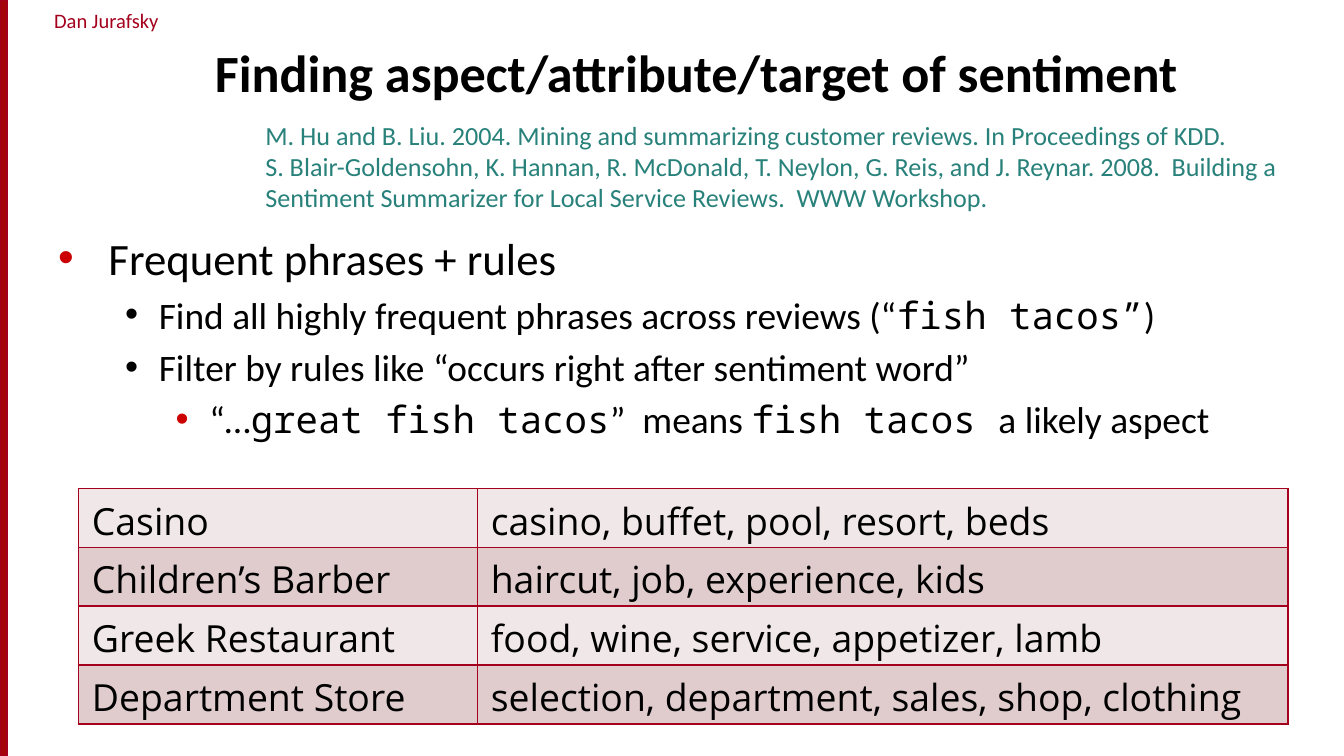
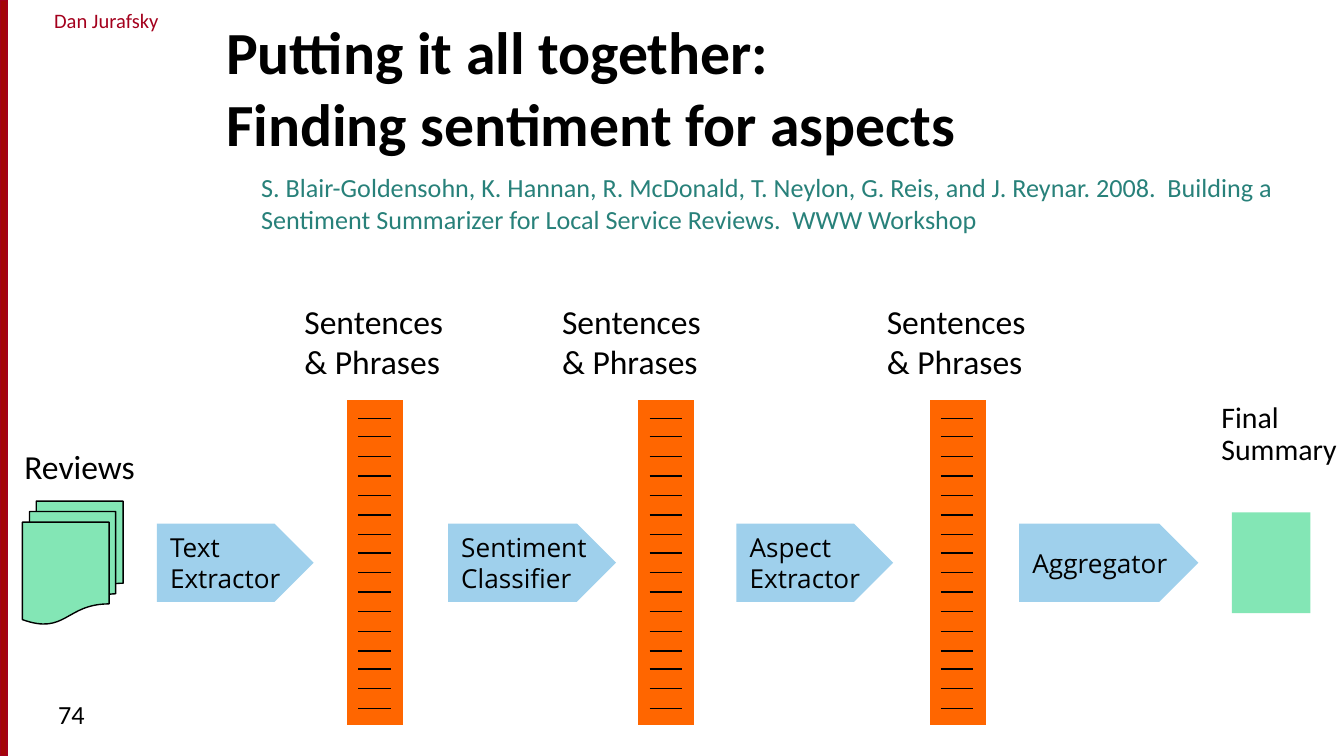
"""Build two slides on finding aspects of sentiment and summarising reviews."""
from lxml.etree import SubElement
from pptx import Presentation
from pptx.dml.color import RGBColor
from pptx.enum.shapes import MSO_CONNECTOR, MSO_SHAPE as SHAPE
from pptx.enum.text import MSO_ANCHOR as ANCHOR, MSO_AUTO_SIZE as AUTO_SIZE, PP_ALIGN as ALIGN
from pptx.oxml.ns import qn
from pptx.util import Pt

PX = 9525
COLORS = {
    "black": "000000", "white": "FFFFFF", "band": "A40508", "crimson": "A4001D",
    "teal": "28817A", "bullet": "CC0000", "row_light": "F0E7E8", "row_dark": "E0CCCD",
    "green": "83E6B5", "orange": "FF6600", "blue": "9FD0EC",
}
RGB = {name: RGBColor.from_string(value) for name, value in COLORS.items()}
BODY_FONT, MONO_FONT, SANS_FONT = "Calibri", "Noto Sans Mono", "Open Sans"


def place(shapes, kind, left, top, width, height, fill=None, line=None):
    """Add a preset shape, or a text box when kind is None."""
    box = [value * PX for value in (left, top, width, height)]
    if kind is None:
        return shapes.add_textbox(*box)
    shape = shapes.add_shape(kind, *box)
    shape.shadow.inherit = False
    shape.fill.solid()
    shape.fill.fore_color.rgb = RGB[fill]
    if line:
        shape.line.color.rgb = RGB[line]
        shape.line.width = Pt(0.75)
    else:
        shape.line.fill.background()
    return shape


def write(frame, text, size=14, font=BODY_FONT, color="black", bold=False,
          align=ALIGN.LEFT, anchor=ANCHOR.TOP, wrap=True, grow=False, spacing=None):
    """Fill a frame: newlines part paragraphs, \\v breaks lines, backticks hold mono text."""
    frame.word_wrap = wrap
    frame.vertical_anchor = anchor
    if grow:
        frame.auto_size = AUTO_SIZE.SHAPE_TO_FIT_TEXT
    for number, line in enumerate(text.split("\n")):
        paragraph = frame.add_paragraph() if number else frame.paragraphs[0]
        paragraph.alignment = align
        paragraph.line_spacing = spacing
        for index, piece in enumerate(line.split("`")):
            for part_number, part in enumerate(piece.split("\v")):
                if part_number:
                    paragraph.add_line_break()
                run = paragraph.add_run()
                run.text = part
                run.font.size = Pt(size)
                run.font.name = MONO_FONT if index % 2 else font
                run.font.bold = bold
                run.font.color.rgb = RGB[color]


presentation = Presentation()
presentation.slide_width = 960 * PX
presentation.slide_height = 540 * PX

WORKSHOP = ("S. Blair-Goldensohn, K. Hannan, R. McDonald, T. Neylon, G. Reis, and J. Reynar. 2008.  "
            "Building a Sentiment Summarizer for Local Service Reviews.  WWW Workshop")
HEADINGS = [
    ("Finding aspect/attribute/target of sentiment", 28, (144, 22, 784, 56),
     "M. Hu and B. Liu. 2004. Mining and summarizing customer reviews. "
     "In Proceedings of KDD.\n" + WORKSHOP + ".", (180, 78, 756, 80)),
    ("Putting it all together:\vFinding sentiment for aspects", 32, (152, 14, 784, 104),
     WORKSHOP, (177, 118, 783, 55)),
]
slides = []
for title, title_size, title_box, reference, reference_box in HEADINGS:
    slide = presentation.slides.add_slide(presentation.slide_layouts[6])
    slide.background.fill.solid()
    slide.background.fill.fore_color.rgb = RGB["white"]
    author = place(slide.shapes, None, 8, 1, 136, 28).text_frame
    author.margin_left = author.margin_right = 0
    write(author, "Dan Jurafsky", size=11, color="crimson", align=ALIGN.CENTER, grow=True)
    place(slide.shapes, SHAPE.RECTANGLE, 0, 0, 5, 540, "band", "crimson")
    write(place(slide.shapes, None, *title_box).text_frame, title,
          size=title_size, bold=True, anchor=ANCHOR.BOTTOM)
    citation = place(slide.shapes, None, *reference_box).text_frame
    write(citation, reference, color="teal", grow=True)
    slides.append(slide)
aspect_slide, pipeline_slide = slides
aspect_slide.shapes[-1].text_frame.paragraphs[0].line_spacing = 1.1

BULLETS = [
    (0, 36, 36, 24, "bullet", "Frequent phrases + rules"),
    (1, 72, 24, 20, "black", "Find all highly frequent phrases across reviews (“`fish tacos”`)"),
    (1, 72, 24, 20, "black", "Filter by rules like “occurs right after sentiment word”"),
    (2, 108, 24, 20, "bullet", "“…`great fish tacos`”  means `fish tacos `a likely aspect"),
]
body = place(aspect_slide.shapes, None, 32, 160, 896, 350).text_frame
write(body, "\n".join(bullet[-1] for bullet in BULLETS), size=20)
for paragraph, (level, indent, hanging, size, color, _) in zip(body.paragraphs, BULLETS):
    paragraph.level = level
    paragraph.space_before = Pt(size * 0.2)
    for run in paragraph.runs:
        run.font.size = Pt(size)
    properties = paragraph._p.get_or_add_pPr()
    properties.set("marL", str(indent * PX))
    properties.set("indent", str(-hanging * PX))
    bullet_color = SubElement(properties, qn("a:buClr"))
    SubElement(bullet_color, qn("a:srgbClr"), val=COLORS[color])
    SubElement(properties, qn("a:buFont"), typeface="Arial")
    SubElement(properties, qn("a:buChar"), char="•")

ASPECTS = [
    ("Casino", "casino, buffet, pool, resort, beds"),
    ("Children’s Barber", "haircut, job, experience, kids"),
    ("Greek Restaurant", "food, wine, service, appetizer, lamb"),
    ("Department Store", "selection, department, sales, shop, clothing"),
]
table = aspect_slide.shapes.add_table(4, 2, 56 * PX, 349 * PX, 864 * PX, 168 * PX).table
table.first_row = table.horz_banding = False
for column, width in zip(table.columns, (285, 579)):
    column.width = width * PX
for row_number, texts in enumerate(ASPECTS):
    for column_number, text in enumerate(texts):
        cell = table.cell(row_number, column_number)
        write(cell.text_frame, text, size=20, font=SANS_FONT)
        for side in ("lnL", "lnR", "lnT", "lnB"):
            border = SubElement(cell._tc.get_or_add_tcPr(), qn("a:" + side), w=str(Pt(1)))
            SubElement(SubElement(border, qn("a:solidFill")), qn("a:srgbClr"), val=COLORS["crimson"])
        cell.fill.solid()
        cell.fill.fore_color.rgb = RGB["row_dark" if row_number % 2 else "row_light"]

shapes = pipeline_slide.shapes
place(shapes, SHAPE.FLOWCHART_MULTIDOCUMENT, 16, 358, 72, 88, "green", "black")
place(shapes, SHAPE.RECTANGLE, 880, 366, 56, 72, "green")

for bar_left in range(248, 665, 208):
    group = shapes.add_group_shape()
    place(group.shapes, SHAPE.FLOWCHART_PROCESS, bar_left, 286, 40, 232, "orange")
    for line_number in range(16):
        y = round(298.6 + 13.83 * line_number) * PX
        line = group.shapes.add_connector(
            MSO_CONNECTOR.STRAIGHT, (bar_left + 8) * PX, y, (bar_left + 31) * PX, y)
        line.line.color.rgb = RGB["black"]
        line.line.width = Pt(0.75)
        SubElement(line._element.spPr, qn("a:effectLst"))

LABELS = [
    ("Reviews", 18, None, (8, 314, 100, 38)),
    ("Final\nSummary", 16, 0.9, (863, 283, 103, 57)),
] + [("Sentences\n& Phrases", 18, None, (left, 210, 120, 68)) for left in (208, 392, 624)]
for text, size, spacing, box in LABELS:
    write(place(shapes, None, *box).text_frame, text,
          size=size, wrap=False, grow=True, spacing=spacing)

STEPS = [
    ("Text\nExtractor", 112, 112), ("Sentiment\nClassifier", 320, 120),
    ("Aspect\nExtractor", 526, 112), ("Aggregator", 728, 128),
]
for text, left, width in STEPS:
    step = place(shapes, SHAPE.PENTAGON, left, 374, width, 56, "blue")
    write(step.text_frame, text, font=SANS_FONT, anchor=ANCHOR.MIDDLE, wrap=False)

write(place(shapes, None, 32, 494, 208, 36).text_frame, "74")

presentation.save("out.pptx")
